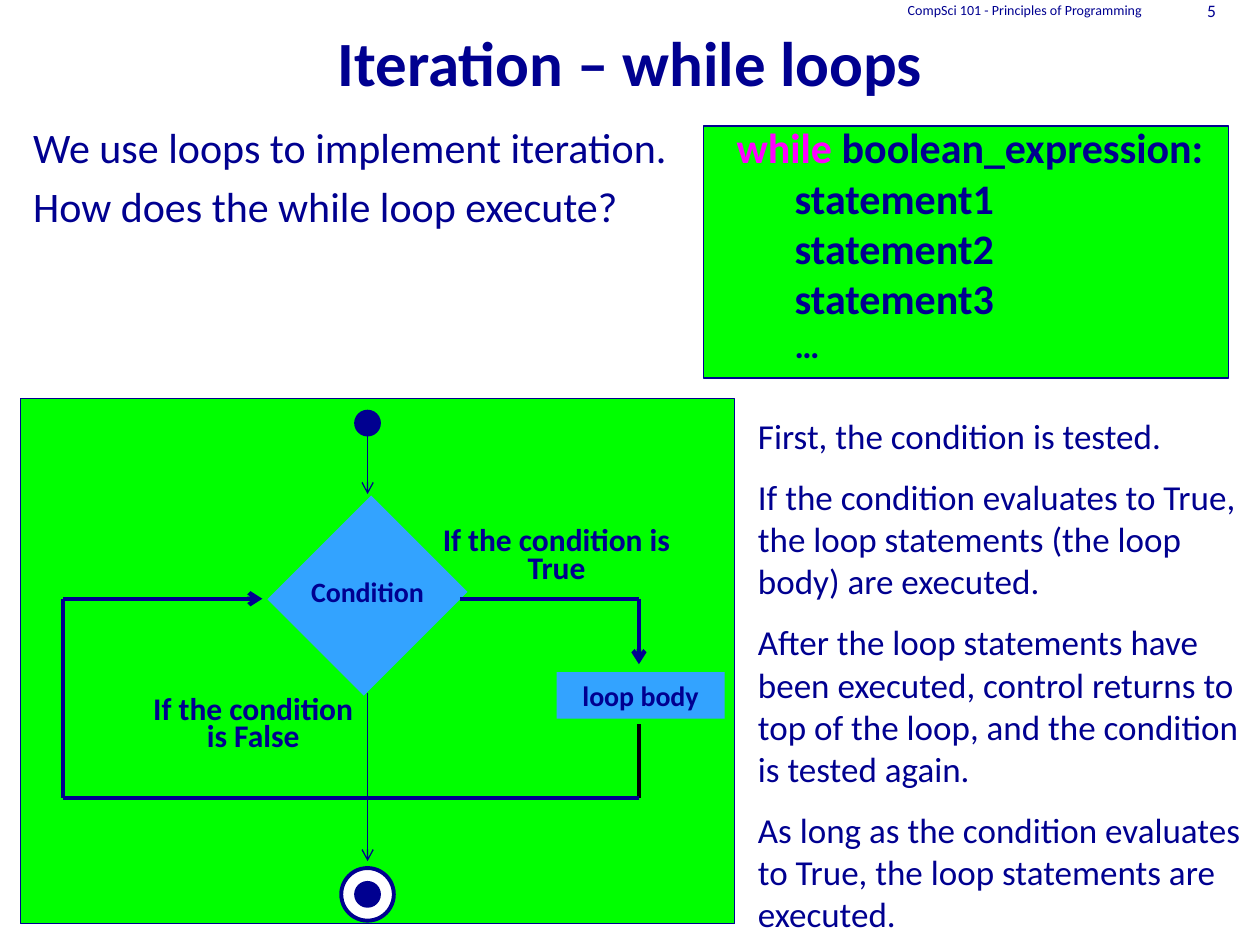
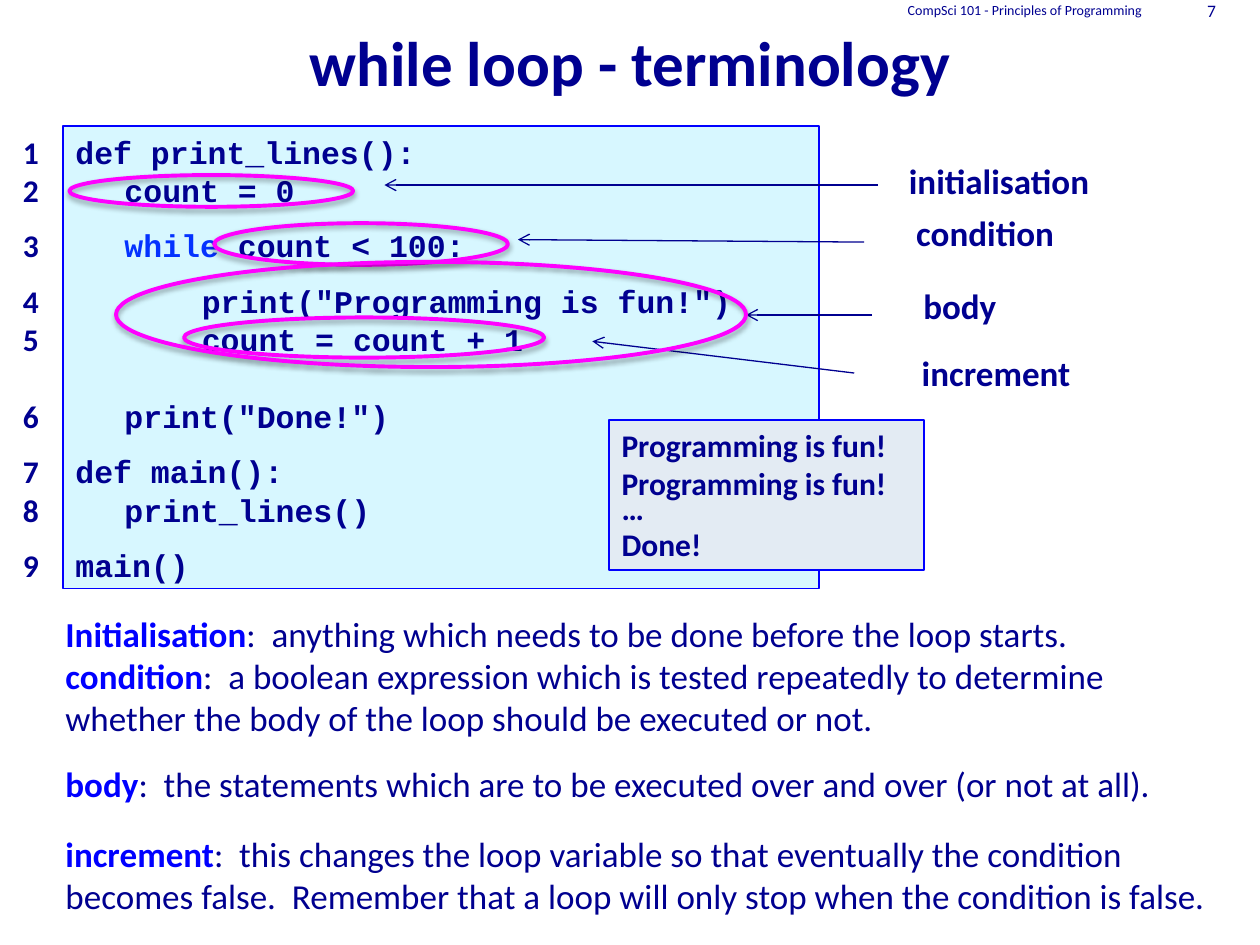
from lxml.etree import SubElement
from pptx import Presentation
from pptx.dml.color import RGBColor
from pptx.enum.shapes import MSO_CONNECTOR, MSO_SHAPE
from pptx.enum.text import MSO_ANCHOR, PP_ALIGN
from pptx.oxml.ns import qn
from pptx.util import Cm, Pt

COLOURS = {
    "navy": "000090",
    "green": "00FF00",
    "magenta": "FF00FF",
    "sky": "33A3FF",
    "white": "FFFFFF",
    "black": "000000",
    "blue": "0000FF",
    "keyword": "0432FF",
    "code": "D7F7FF",
    "output": "E3EBF3",
}
RECT, OVAL = MSO_SHAPE.RECTANGLE, MSO_SHAPE.OVAL
LEFT, CENTER, RIGHT = PP_ALIGN.LEFT, PP_ALIGN.CENTER, PP_ALIGN.RIGHT
TOP, MIDDLE, BOTTOM = MSO_ANCHOR.TOP, MSO_ANCHOR.MIDDLE, MSO_ANCHOR.BOTTOM


def add_box(slide, box, paragraphs=(), size=18, bold=False, align=LEFT, anchor=TOP,
            font="Calibri", kind=None, fill=None, line=None, width=0.75):
    lengths = [Cm(value) for value in box]
    if kind is None:
        shape = slide.shapes.add_textbox(*lengths)
    else:
        shape = slide.shapes.add_shape(kind, *lengths)
        shape.shadow.inherit = False
        if fill:
            shape.fill.solid()
            shape.fill.fore_color.rgb = RGBColor.from_string(COLOURS[fill])
        else:
            shape.fill.background()
        if line:
            shape.line.color.rgb = RGBColor.from_string(COLOURS[line])
            shape.line.width = Pt(width)
        else:
            shape.line.fill.background()
    frame = shape.text_frame
    frame.word_wrap = True
    frame.vertical_anchor = anchor
    for index, runs in enumerate(paragraphs):
        paragraph = frame.add_paragraph() if index else frame.paragraphs[0]
        paragraph.alignment = align
        if isinstance(runs, str):
            runs = [(runs, "navy", bold)]
        for text, colour, weight in runs:
            run = paragraph.add_run()
            run.text = text
            run.font.name = font
            run.font.size = Pt(size)
            run.font.bold = weight
            run.font.color.rgb = RGBColor.from_string(COLOURS[colour])
    return shape


def add_line(slide, start, end, width=0.75, arrow=False, colour="navy"):
    points = [Cm(value) for value in (*start, *end)]
    connector = slide.shapes.add_connector(MSO_CONNECTOR.STRAIGHT, *points)
    connector.line.color.rgb = RGBColor.from_string(COLOURS[colour])
    connector.line.width = Pt(width)
    if arrow:
        SubElement(connector.line._get_or_add_ln(), qn("a:tailEnd"), type="arrow")
    SubElement(connector._element.spPr, qn("a:effectLst"))


presentation = Presentation()
presentation.slide_width = Cm(25.4)
presentation.slide_height = Cm(19.05)

slides = []
for title, number in [("Iteration – while loops", "5"), ("while loop - terminology", "7")]:
    slide = presentation.slides.add_slide(presentation.slide_layouts[6])
    add_box(slide, (0, 0, 25.4, 2.12), [title], 36, True, CENTER, BOTTOM)
    add_box(slide, (15.66, 0, 7.62, 0.42), ["CompSci 101 - Principles of Programming"],
            8, align=RIGHT, anchor=MIDDLE)
    add_box(slide, (23.28, 0, 1.48, 0.42), [number], 10, align=RIGHT, anchor=MIDDLE)
    slides.append(slide)
loop_slide, terms_slide = slides

intro = add_box(loop_slide, (0.42, 2.33, 24.34, 13.02),
                ["We use loops to implement iteration.", "How does the while loop execute?"], 24)
intro.text_frame.paragraphs[1].space_before = Pt(4.8)

add_box(loop_slide, (14.18, 2.54, 10.58, 5.08), kind=RECT, fill="green", line="navy")
syntax = add_box(
    loop_slide, (14.6, 2.33, 10.8, 5.21),
    [[("while", "magenta", True), (" boolean_expression:", "navy", True)],
     "statement1", "statement2", "statement3", "…"], 24, True)
for paragraph in syntax.text_frame.paragraphs[1:]:
    paragraph._p.get_or_add_pPr().set("marL", str(Cm(1.17)))
syntax.text_frame.paragraphs[-1].runs[0].font.size = Pt(20)

add_box(loop_slide, (0.42, 8.04, 14.39, 10.58), kind=RECT, fill="green", line="navy")
diamond = add_box(loop_slide, (5.93, 10.63, 2.96, 2.75), kind=RECT, fill="sky")
diamond.rotation = 315
add_box(loop_slide, (5.6, 11.46, 3.62, 0.94), ["Condition"], 16, True, CENTER)
add_box(loop_slide, (11.22, 13.55, 3.39, 0.94), ["loop body"], 16, True, CENTER,
        kind=RECT, fill="sky")

for box, text in [((8.47, 10.58, 5.5, 1.4), "If the condition is True"),
                  ((2.59, 13.97, 5.03, 1.4), "If the condition is False")]:
    branch = add_box(loop_slide, box, [text], 18, True, CENTER)
    branch.text_frame.paragraphs[0].line_spacing = Pt(15.6)

flow_x, left_x, right_x = 7.41, 1.27, 12.88
test_y, return_y = 12.07, 16.09
for start, end, arrow, colour in [
    ((right_x, test_y), (right_x, 13.39), True, "navy"),
    ((right_x, test_y), (9.27, test_y), False, "navy"),
    ((right_x, 14.6), (right_x, return_y), False, "black"),
    ((right_x, return_y), (left_x, return_y), False, "navy"),
    ((left_x, test_y), (5.29, test_y), True, "navy"),
    ((left_x, test_y), (left_x, return_y), False, "navy"),
]:
    add_line(loop_slide, start, end, 2.5, arrow, colour)
for start_y, end_y in [(8.79, 9.96), (13.97, 17.36)]:
    add_line(loop_slide, (flow_x, start_y), (flow_x, end_y), arrow=True)

add_box(loop_slide, (6.88, 17.5, 1.06, 1.06), kind=OVAL, fill="white", line="navy", width=2.25)
for dot_y in (8.26, 17.76):
    add_box(loop_slide, (7.14, dot_y, 0.54, 0.54), kind=OVAL, fill="navy")

steps = add_box(loop_slide, (15.03, 8.23, 10.37, 10.82), [
    "First, the condition is tested.",
    "If the condition evaluates to True, the loop statements (the loop body) are executed.",
    "After the loop statements have been executed, control returns to top of the loop, "
    "and the condition is tested again.",
    "As long as the condition evaluates to True, the loop statements are executed.",
], 20)
for paragraph in steps.text_frame.paragraphs[1:]:
    paragraph.space_before = Pt(11)

code_lines = [
    (0, 0, "def print_lines():"),
    (0, 0.99, "count = 0"),
    (9.5, 0.99, [("while ", "keyword", True), ("count < 100:", "navy", True)]),
    (9.5, 2.55, 'print("Programming is fun!")'),
    (0, 2.55, "count = count + 1"),
    (22, 0.99, 'print("Done!")'),
    (9.5, 0, "def main():"),
    (0, 0.99, "print_lines()"),
    (9.5, 0, "main()"),
]
numbers = add_box(terms_slide, (0.21, 2.54, 2.75, 9.32),
                  [str(number) for number in range(1, len(code_lines) + 1)], 18, True)
code = add_box(terms_slide, (1.27, 2.54, 15.24, 9.32), [text for _, _, text in code_lines],
               18, True, font="Courier New", kind=RECT, fill="code", line="blue")
for (gap, indent, _), number, statement in zip(
        code_lines, numbers.text_frame.paragraphs, code.text_frame.paragraphs):
    for paragraph in (number, statement):
        paragraph.space_before = Pt(gap)
        paragraph.line_spacing = Pt(22)
    statement._p.get_or_add_pPr().set("marL", str(Cm(indent)))

output = add_box(terms_slide, (12.28, 8.47, 6.35, 3.02),
                 ["Programming is fun!", "Programming is fun!", "…", "Done!"],
                 18, True, kind=RECT, fill="output", line="blue")
output.text_frame.paragraphs[2].line_spacing = 0.6

for top, width, height, term, meaning in [
    (12.22, 23.5, 1.12, "Initialisation",
     "anything which needs to be done before the loop starts."),
    (13.06, 23.5, 1.96, "condition",
     "a boolean expression which is tested repeatedly to determine whether "
     "the body of the loop should be executed or not."),
    (15.24, 23.5, 1.12, "body",
     "the statements which are to be executed over and over (or not at all)."),
    (16.66, 24.13, 1.96, "increment",
     "this changes the loop variable so that eventually the condition becomes false.  "
     "Remember that a loop will only stop when the condition is false."),
]:
    add_box(terms_slide, (1.07, top, width, height),
            [[(term, "blue", True), (":  " + meaning, "navy", False)]], 20)

for term, label, ring, start, end in [
    ("initialisation", (16.43, 3.1, 7.42, 1.12), (1.4, 3.53, 5.72, 0.64),
     (17.7, 3.73), (7.75, 3.73)),
    ("condition", (16.15, 4.14, 7.42, 1.12), (4.32, 4.5, 5.92, 0.84),
     (17.42, 4.88), (10.44, 4.83)),
    ("increment", (17.22, 6.96, 5.72, 1.12), (3.71, 6.4, 7.26, 0.81),
     (17.22, 7.52), (11.94, 6.88)),
    ("body", (16.71, 5.61, 5.28, 1.12), (2.34, 5.28, 12.7, 2.12),
     (17.58, 6.35), (15.04, 6.35)),
]:
    add_box(terms_slide, label, [term], 20, True, CENTER)
    add_line(terms_slide, start, end, arrow=True)
    oval = add_box(terms_slide, ring, kind=OVAL, line="magenta", width=2.25)
    effects = oval._element.spPr.find(qn("a:effectLst"))
    shadow = SubElement(effects, qn("a:outerShdw"), blurRad=str(Pt(3.1)),
                        dist=str(Pt(1.8)), dir="5400000", rotWithShape="0")
    shade = SubElement(shadow, qn("a:srgbClr"), val=COLOURS["black"])
    SubElement(shade, qn("a:alpha"), val="35000")

presentation.save("out.pptx")
